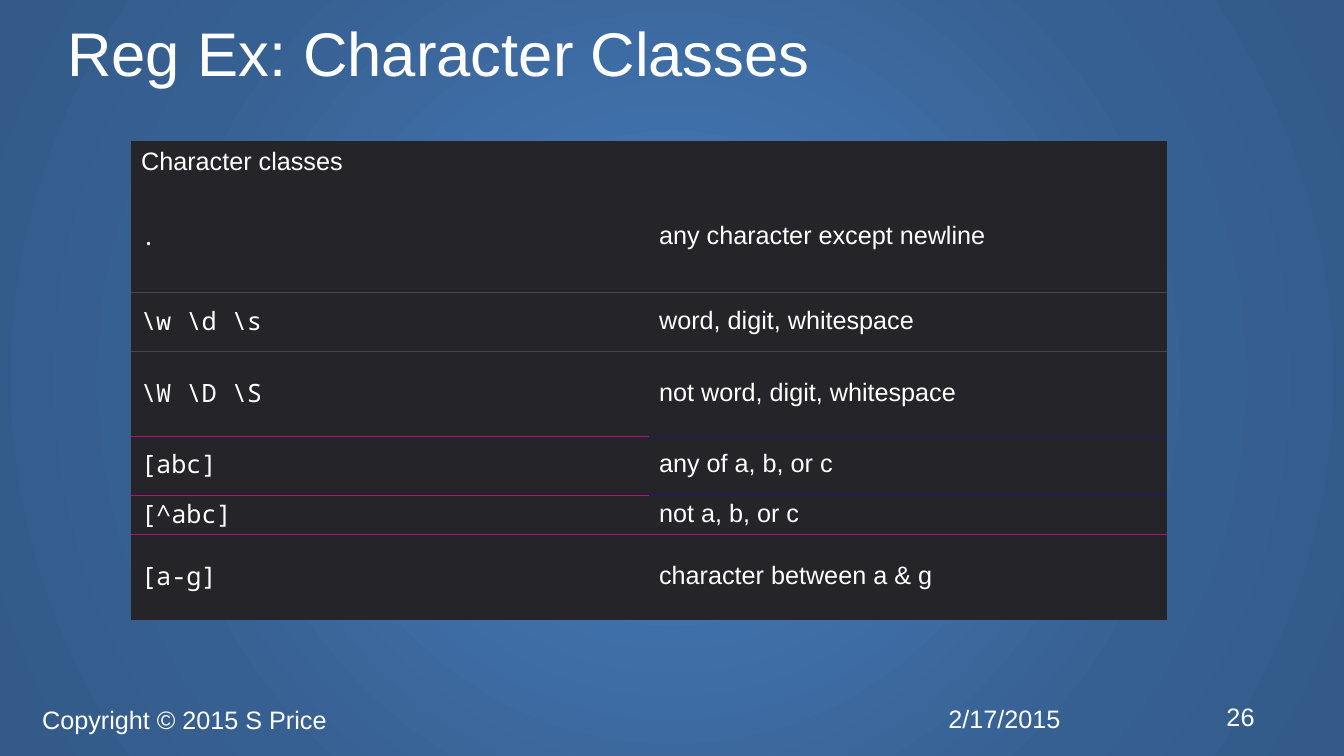
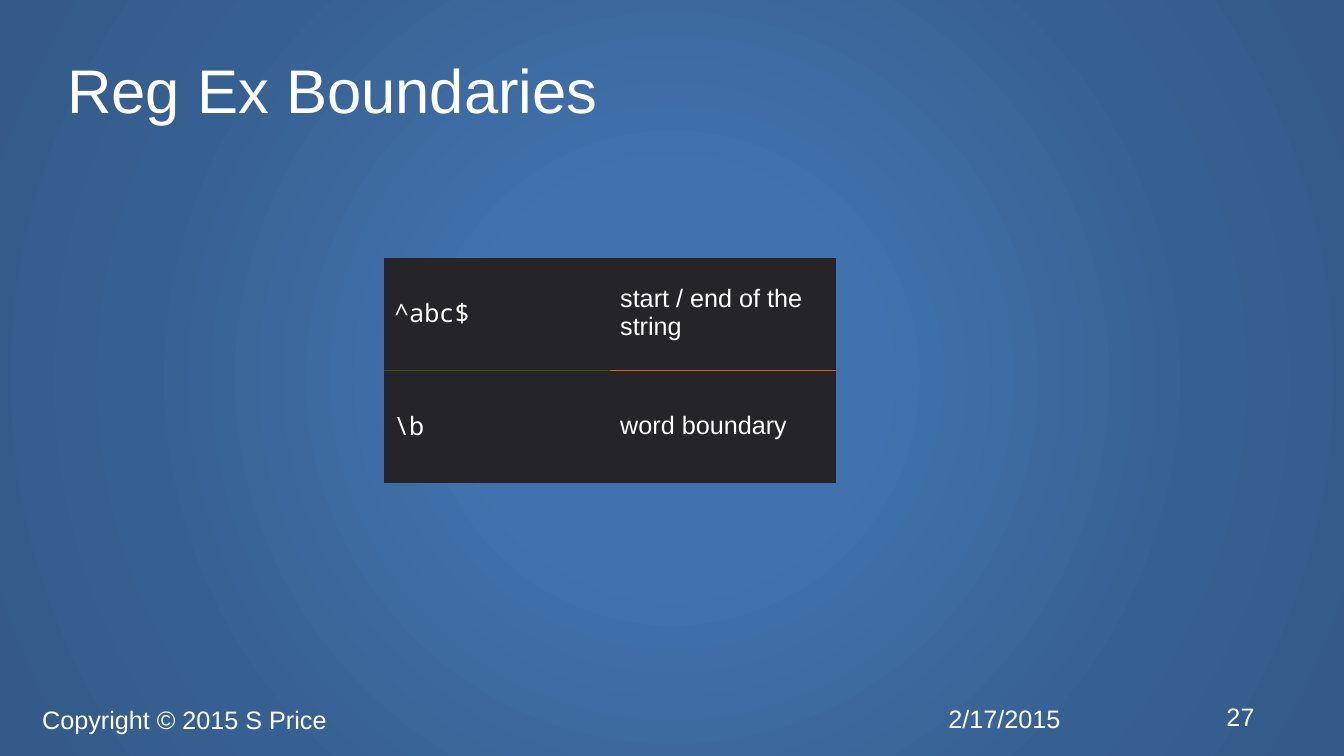
from collections import namedtuple

from lxml.etree import SubElement
from pptx import Presentation
from pptx.dml.color import RGBColor
from pptx.enum.text import MSO_ANCHOR as Anchor, MSO_AUTO_SIZE as AutoSize, PP_ALIGN as Align
from pptx.oxml.ns import qn
from pptx.util import Pt

WHITE, PANEL, GREY = "FFFFFF", "242429", "47474C"
MAGENTA, INDIGO, GREEN, ORANGE = "A81872", "281472", "385709", "F05609"
BACKDROP = [(0, "4172AD"), (26, "4172AD"), (69, "376092"), (97, "335A88")]
SANS, MONO = "Arial", "Noto Sans Mono"
PLAIN_TABLE = "{2D5ABB26-0587-4C30-8999-92F81FD0307C}"
TITLE_HEIGHT = 60

Row = namedtuple("Row", "pattern meaning height rules", defaults=[(None, None)])

CLASSES = [
    Row("Character classes", None, 28),
    Row(".", "any character except newline", 79.5, (GREY, GREY)),
    Row(r"\w \d \s", "word, digit, whitespace", 42, (GREY, GREY)),
    Row(r"\W \D \S", "not word, digit, whitespace", 60.5, (MAGENTA, INDIGO)),
    Row("[abc]", "any of a, b, or c", 42, (MAGENTA, INDIGO)),
    Row("[^abc]", "not a, b, or c", 28.5, (MAGENTA, MAGENTA)),
    Row("[a-g]", "character between a & g", 60.5),
]
BOUNDARIES = [
    Row("^abc$", "start / end of the string", 80.5, (GREEN, ORANGE)),
    Row(r"\b", "word boundary", 80.5),
]


def rgb(value):
    """Turn a hex string into a colour."""
    return RGBColor.from_string(value)


def assign(target, values):
    """Set each attribute named in a dict."""
    for name, value in values.items():
        setattr(target, name, value)


def place(shape, left, top, width, height):
    """Position and size a shape in points."""
    assign(shape, {"left": Pt(left), "top": Pt(top), "width": Pt(width), "height": Pt(height)})


def write(frame, text, size=18, font=SANS):
    """Fill a text frame with one white, left-aligned paragraph."""
    frame.text = text
    frame.word_wrap = True
    para = frame.paragraphs[0]
    para.alignment = Align.LEFT
    assign(para.runs[0].font, {"size": Pt(size), "name": font})
    para.runs[0].font.color.rgb = rgb(WHITE)
    return para


def paint_backdrop(master):
    """Give the slide master its radial gradient."""
    master.background.fill.gradient()
    gradient = master.element.find(".//" + qn("p:bgPr") + "/" + qn("a:gradFill"))
    for child in list(gradient):
        gradient.remove(child)
    stops = SubElement(gradient, qn("a:gsLst"))
    for percent, colour in BACKDROP:
        stop = SubElement(stops, qn("a:gs"), pos=str(percent * 1000))
        SubElement(stop, qn("a:srgbClr"), val=colour)
    circle = SubElement(gradient, qn("a:path"), path="circle")
    SubElement(circle, qn("a:fillToRect"), {side: "50000" for side in "ltrb"})


def add_title(page, text, top):
    """Format the title placeholder."""
    title = page.shapes.title
    place(title, 48, top, 864, TITLE_HEIGHT)
    frame = title.text_frame
    write(frame, text, 44).line_spacing = 0.9
    assign(frame, {"margin_left": 0, "margin_right": 0, "margin_top": 0, "margin_bottom": 0,
                   "vertical_anchor": Anchor.MIDDLE, "auto_size": AutoSize.NONE})


def add_footer(page, number):
    """Add the date, copyright and page number."""
    for text, left, top, width in [("2/17/2015", 670.3, 498.2, 126),
                                   ("Copyright © 2015 S Price", 23, 499, 647),
                                   (str(number), 869, 497, 43)]:
        box = page.shapes.add_textbox(Pt(left), Pt(top), Pt(width), Pt(29.5))
        write(box.text_frame, text)
        box.text_frame.vertical_anchor = Anchor.MIDDLE


def rule_cell(cell, above, below):
    """Draw the horizontal borders of a cell."""
    properties = cell._tc.get_or_add_tcPr()
    edges = [("a:lnT", above), ("a:lnB", below)]
    for index, (tag, colour) in enumerate(edges):
        line = SubElement(properties, qn(tag), w=str(Pt(0.75)))
        properties.insert(index, line)
        if colour:
            fill = SubElement(line, qn("a:solidFill"))
            SubElement(fill, qn("a:srgbClr"), val=colour)
        else:
            SubElement(line, qn("a:noFill"))


def fill_cell(cell, text, font, is_header):
    """Write and colour one table cell."""
    cell.fill.solid()
    cell.fill.fore_color.rgb = rgb(PANEL)
    cell.vertical_anchor = Anchor.MIDDLE
    if not is_header:
        assign(cell, {"margin_top": Pt(0.75), "margin_bottom": Pt(3)})
    if text:
        write(cell.text_frame, text, font=font)


def add_pattern_table(page, rows, left, top, column_width):
    """Add a table of patterns and their meanings."""
    height = sum(row.height for row in rows)
    frame = page.shapes.add_table(len(rows), 2, Pt(left), Pt(top), Pt(2 * column_width), Pt(height))
    table = frame.table
    assign(table, {"first_row": False, "horz_banding": False})
    table._tbl.tblPr.find(qn("a:tableStyleId")).text = PLAIN_TABLE
    for column in table.columns:
        column.width = Pt(column_width)
    above = (None, None)
    for index, row in enumerate(rows):
        table.rows[index].height = Pt(row.height)
        is_header = row.meaning is None
        texts = [(row.pattern, SANS if is_header else MONO), (row.meaning, SANS)]
        for side, (text, font) in enumerate(texts):
            cell = table.cell(index, side)
            fill_cell(cell, text, font, is_header)
            rule_cell(cell, above[side], row.rules[side])
        if is_header:
            table.cell(index, 0).merge(table.cell(index, 1))
        above = row.rules


def add_page(deck, number, title, title_top, rows, left, top, column_width):
    """Build one slide with a title, a table and a footer."""
    page = deck.slides.add_slide(deck.slide_layouts.get_by_name("Title Only"))
    add_title(page, title, title_top)
    add_footer(page, number)
    add_pattern_table(page, rows, left, top, column_width)


def main():
    """Build and save the deck."""
    deck = Presentation()
    assign(deck, {"slide_width": Pt(960), "slide_height": Pt(540)})
    paint_backdrop(deck.slide_master)
    add_page(deck, 26, "Reg Ex: Character Classes", 10.2, CLASSES, 93.6, 100.8, 370)
    add_page(deck, 27, "Reg Ex Boundaries", 36.6, BOUNDARIES, 274.3, 184.3, 161.5)
    deck.save("out.pptx")


if __name__ == "__main__":
    main()
